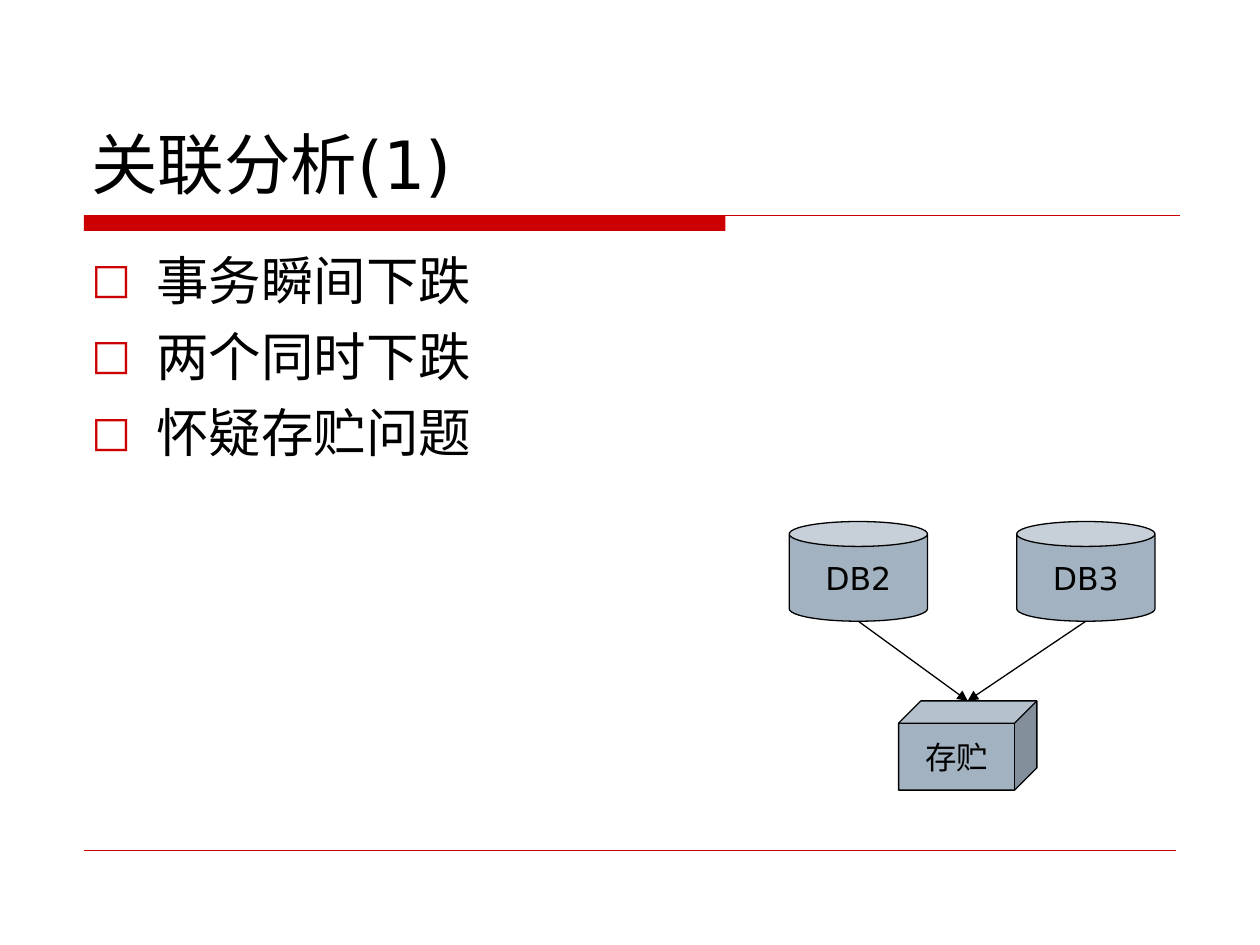
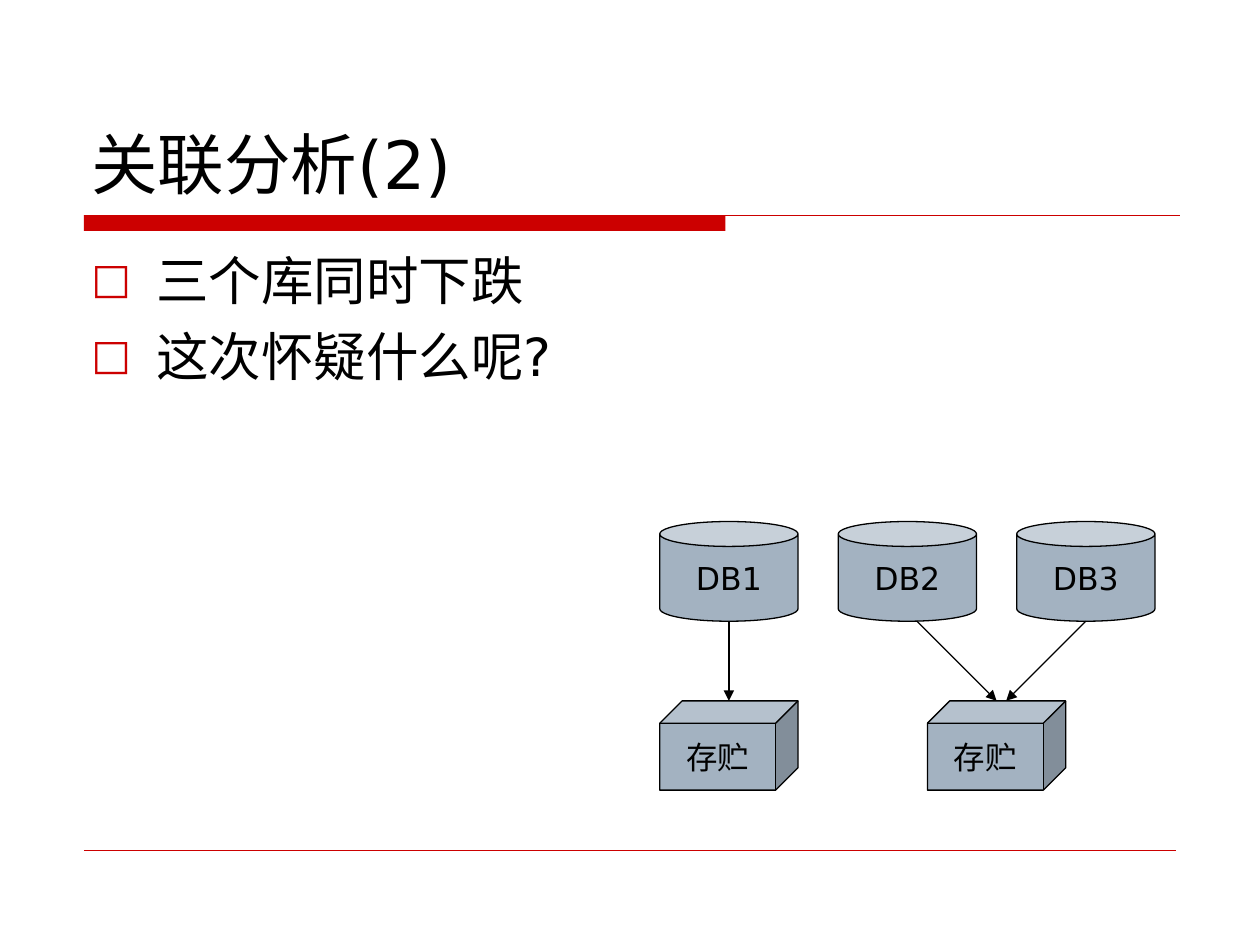
from dataclasses import dataclass
from lxml.etree import SubElement
from pptx import Presentation
from pptx.dml.color import RGBColor
from pptx.enum.shapes import MSO_CONNECTOR, MSO_SHAPE
from pptx.enum.text import MSO_ANCHOR, MSO_AUTO_SIZE, PP_ALIGN
from pptx.oxml.ns import qn
from pptx.util import Pt


@dataclass(frozen=True)
class Theme:
    font: str = "DejaVu Sans"
    ink: str = "000000"
    red: str = "CC0000"
    steel: str = "A3B2C1"
    title: float = 38
    body: float = 30
    label: float = 18
    thin: float = 0.25
    line: float = 0.75


WIDE = 79
MID = WIDE / 2
CAN_TOP, CAN_HIGH = 298, 57
CUBE_TOP, CUBE_HIGH = 400.5, 51
LEFT, RIGHT = 48, 674.5
RULE_TOP = 123


class Deck:
    def __init__(self, theme):
        self.theme = theme
        self.show = Presentation()
        self.show.slide_width, self.show.slide_height = Pt(720), Pt(540)
        self.slide = None

    def page(self, title, items, width):
        self.slide = self.show.slides.add_slide(self.show.slide_layouts[1])
        self.bar(LEFT, RULE_TOP, 366.5, 9)
        self.line((LEFT, RULE_TOP), (RIGHT, RULE_TOP), self.theme.red, self.theme.line)
        self.line((LEFT, 486), (672, 486), self.theme.red, self.theme.thin)
        self.title(title)
        self.bullets(items, width)

    def place(self, shape, left, top, width, height):
        shape.left, shape.top = Pt(left), Pt(top)
        shape.width, shape.height = Pt(width), Pt(height)

    def style(self, para, size):
        for run in para.runs:
            run.font.name = self.theme.font
            run.font.size = Pt(size)
            run.font.color.rgb = RGBColor.from_string(self.theme.ink)

    def title(self, text):
        shape = self.slide.shapes.title
        self.place(shape, 45, 24, 630, 95.5)
        frame = shape.text_frame
        frame.text = text
        frame.auto_size = MSO_AUTO_SIZE.NONE
        frame.vertical_anchor = MSO_ANCHOR.BOTTOM
        para = frame.paragraphs[0]
        para.alignment = PP_ALIGN.LEFT
        self.style(para, self.theme.title)

    def bullets(self, items, width):
        shape = self.slide.placeholders[1]
        self.place(shape, 45, 138, width, 336)
        frame = shape.text_frame
        frame.text = "\n".join(items)
        frame.auto_size = MSO_AUTO_SIZE.NONE
        for place, para in enumerate(frame.paragraphs):
            self.bullet(para)
            para.space_before = Pt(7.5 if place else 0)
            self.style(para, self.theme.body)

    def bullet(self, para):
        props = para._p.get_or_add_pPr()
        props.set("marL", str(Pt(37)))
        props.set("indent", str(-Pt(37)))
        color = SubElement(props, qn("a:buClr"))
        SubElement(color, qn("a:srgbClr"), val=self.theme.red)
        SubElement(props, qn("a:buSzPct"), val="80000")
        SubElement(props, qn("a:buFont"), typeface=self.theme.font)
        SubElement(props, qn("a:buChar"), char="□")

    def shape(self, kind, left, top, width, height, fill):
        shape = self.slide.shapes.add_shape(kind, Pt(left), Pt(top), Pt(width), Pt(height))
        shape.shadow.inherit = False
        shape.fill.solid()
        shape.fill.fore_color.rgb = RGBColor.from_string(fill)
        return shape

    def bar(self, left, top, width, height):
        shape = self.shape(MSO_SHAPE.RECTANGLE, left, top, width, height, self.theme.red)
        shape.line.fill.background()

    def node(self, kind, left, top, height, text):
        shape = self.shape(kind, left, top, WIDE, height, self.theme.steel)
        shape.adjustments[0] = 0.25
        shape.line.color.rgb = RGBColor.from_string(self.theme.ink)
        shape.line.width = Pt(self.theme.line)
        frame = shape.text_frame
        frame.text = text
        frame.word_wrap = False
        frame.vertical_anchor = MSO_ANCHOR.MIDDLE
        para = frame.paragraphs[0]
        para.alignment = PP_ALIGN.CENTER
        self.style(para, self.theme.label)

    def can(self, left, text):
        self.node(MSO_SHAPE.CAN, left, CAN_TOP, CAN_HIGH, text)

    def cube(self, left):
        self.node(MSO_SHAPE.CUBE, left, CUBE_TOP, CUBE_HIGH, "存贮")

    def line(self, start, end, color, width):
        link = self.slide.shapes.add_connector(
            MSO_CONNECTOR.STRAIGHT, *(Pt(value) for value in (*start, *end)))
        link.line.color.rgb = RGBColor.from_string(color)
        link.line.width = Pt(width)
        SubElement(link._element.spPr, qn("a:effectLst"))
        return link

    def arrow(self, start, end):
        link = self.line((start, CAN_TOP + CAN_HIGH), (end, CUBE_TOP),
                         self.theme.ink, self.theme.line)
        SubElement(link.line._get_or_add_ln(), qn("a:tailEnd"), type="triangle")

    def graph(self, cans, cubes, links):
        for left, text in cans:
            self.can(left, text)
        for left in cubes:
            self.cube(left)
        for start, end in links:
            self.arrow(start, end)

    def save(self):
        self.show.save("out.pptx")


def main():
    deck = Deck(Theme())
    one, two, three = 377, 479, 581

    deck.page("关联分析(1)", ["事务瞬间下跌", "两个同时下跌", "怀疑存贮问题"], 309.5)
    pair, store = 451, 513.5
    deck.graph([(pair, "DB2"), (three, "DB3")], [store],
               [(left + MID, store + MID) for left in (pair, three)])

    deck.page("关联分析(2)", ["三个库同时下跌", "这次怀疑什么呢?"], 315.5)
    store = (two + three) / 2
    deck.graph([(one, "DB1"), (two, "DB2"), (three, "DB3")], [one, store],
               [(two + MID + 5.5, store + MID), (three + MID, store + MID + 5.5),
                (one + MID, one + MID)])
    deck.save()


if __name__ == "__main__":
    main()
